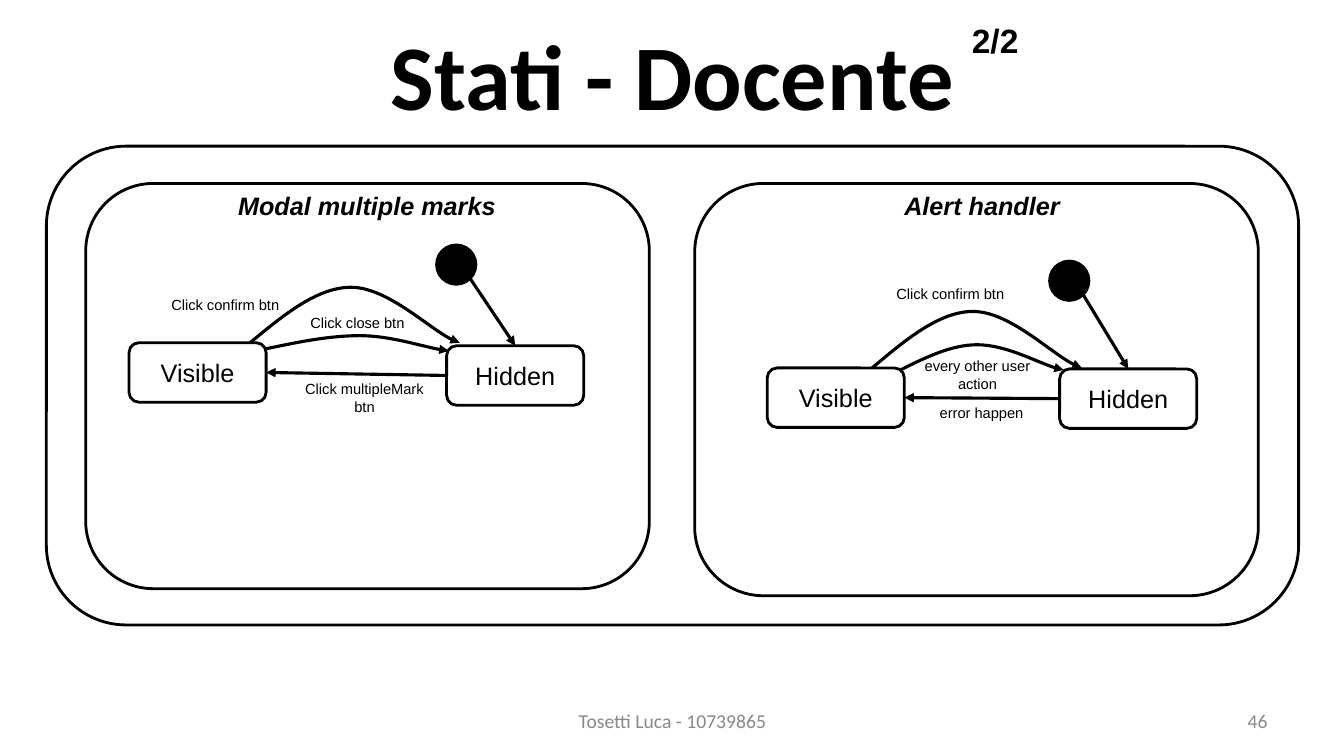
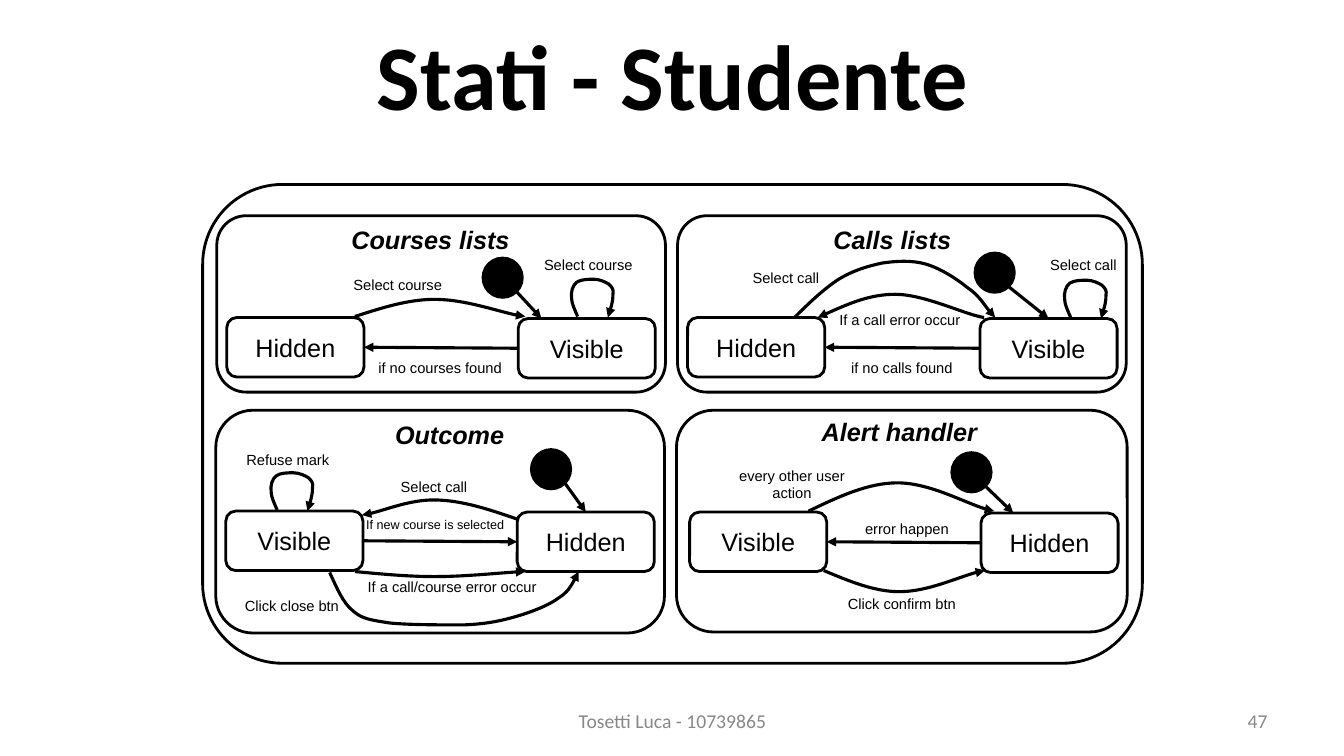
from dataclasses import dataclass, field

import pptx
import pptx.dml.color
import pptx.enum.shapes
import pptx.enum.text
import pptx.oxml.ns
import pptx.util
from lxml import etree

Inches = pptx.util.Inches
Pt = pptx.util.Pt
qn = pptx.oxml.ns.qn
SHAPE = pptx.enum.shapes.MSO_SHAPE
ALIGN = pptx.enum.text.PP_ALIGN
ANCHOR = pptx.enum.text.MSO_ANCHOR
AUTO_SIZE = pptx.enum.text.MSO_AUTO_SIZE
RGB = pptx.dml.color.RGBColor.from_string


@dataclass(frozen=True)
class Theme:
    ink: object = RGB("000000")
    paper: object = RGB("FFFFFF")
    muted: object = RGB("888888")
    title_font: str = "Calibri"
    body_font: str = "Arial"
    title: float = 66
    counter: float = 24
    state: float = 18
    footer: float = 14
    label: float = 10.5
    small_label: float = 9
    outline: float = 2
    arrow: float = 2.25


THEME = Theme()
STATE_W, STATE_H = 1.36, 0.59
DOT = 0.39
TITLE_W = 3.56
LOOP = [(0, 0), (-0.03, -0.07), (-0.06, -0.13), (-0.06, -0.18),
        (-0.07, -0.24), (-0.05, -0.31), (-0.01, -0.34),
        (0.03, -0.37), (0.11, -0.37), (0.16, -0.37),
        (0.22, -0.37), (0.28, -0.34), (0.31, -0.32),
        (0.34, -0.29), (0.36, -0.27), (0.35, -0.22),
        (0.35, -0.16), (0.33, -0.08), (0.3, 0.01)]


@dataclass
class Label:
    text: str
    x: float
    y: float
    w: float = 1.45
    size: float = THEME.label


@dataclass
class Machine:
    """A two-state diagram; every place is relative to the panel's corner."""
    title: str
    box: tuple
    title_at: tuple  # centre, top
    left: tuple  # name, x, y
    right: tuple
    dot: tuple
    labels: list
    curves: list
    back_curves: list = field(default_factory=list)  # arrowhead at the start
    entry: float = STATE_W / 2  # where the first arrow meets the right state
    forward: bool = False  # straight arrow runs left to right


def arc(start, apex, end):
    """Bezier points of a bow through its apex."""
    (x0, y0), (x1, y1), (x2, y2) = start, apex, end
    return [start,
            (x0 + (x1 - x0) / 3, (y0 + y1) / 2), (x0 + (x1 - x0) * 2 / 3, y1), apex,
            (x1 + (x2 - x1) / 3, y1), (x1 + (x2 - x1) * 0.8, y1 + (y2 - y1) * 0.9), end]


def loop(x, y):
    return [(x + dx, y + dy) for dx, dy in LOOP]


def set_font(p, size, name=THEME.body_font, color=THEME.ink, bold=False, italic=False):
    f = p.font
    f.size, f.name, f.bold, f.italic = Pt(size), name, bold, italic
    f.color.rgb = color


def add_text(slide, text, box, size, align=ALIGN.CENTER, anchor=ANCHOR.TOP, **font):
    sp = slide.shapes.add_textbox(*map(Inches, box))
    tf = sp.text_frame
    tf.word_wrap = True
    tf.vertical_anchor = anchor
    p = tf.paragraphs[0]
    p.text, p.alignment = text, align
    set_font(p, size, **font)


def add_outline(slide, kind, box, fill=None):
    sp = slide.shapes.add_shape(kind, *map(Inches, box))
    sp.shadow.inherit = False
    if fill is None:
        sp.fill.background()
    else:
        sp.fill.solid()
        sp.fill.fore_color.rgb = fill
    sp.line.color.rgb = THEME.ink
    sp.line.width = Pt(THEME.outline)
    return sp


def add_state(slide, name, x, y):
    sp = add_outline(slide, SHAPE.ROUNDED_RECTANGLE, (x, y, STATE_W, STATE_H), THEME.paper)
    tf = sp.text_frame
    tf.vertical_anchor = ANCHOR.MIDDLE
    p = tf.paragraphs[0]
    p.text, p.alignment = name, ALIGN.CENTER
    set_font(p, THEME.state)
    return sp


def style_arrow(sp, end="a:tailEnd"):
    sp.line.color.rgb = THEME.ink
    sp.line.width = Pt(THEME.arrow)
    ln = sp.element.spPr.find(qn("a:ln"))
    etree.SubElement(ln, qn(end)).set("type", "triangle")


def add_arrow(slide, start, end):
    sp = slide.shapes.add_connector(pptx.enum.shapes.MSO_CONNECTOR.STRAIGHT,
                                    *map(Inches, start + end))
    style_arrow(sp)
    etree.SubElement(sp.element.spPr, qn("a:effectLst"))
    return sp


def add_curve(slide, points, end="a:tailEnd"):
    """Draw a freeform whose points after the first are Bezier triples."""
    pts = [(Inches(x), Inches(y)) for x, y in points]
    fb = slide.shapes.build_freeform(*pts[0])
    fb.add_line_segments(pts[1:], close=False)
    sp = fb.convert_to_shape()
    sp.shadow.inherit = False
    sp.fill.background()
    segments = list(sp.element.iter(qn("a:lnTo")))
    outline = segments[0].getparent()
    for i in range(0, len(segments), 3):
        cubic = etree.SubElement(outline, qn("a:cubicBezTo"))
        for segment in segments[i:i + 3]:
            cubic.append(segment[0])
            outline.remove(segment)
    style_arrow(sp, end)


def add_machine(slide, m):
    ox, oy = m.box[:2]

    def at(x, y):
        return ox + x, oy + y

    add_outline(slide, SHAPE.ROUNDED_RECTANGLE, m.box)
    cx, top = at(*m.title_at)
    add_text(slide, m.title, (cx - TITLE_W / 2, top, TITLE_W, 0.4), THEME.state,
             bold=True, italic=True)
    left, right = (add_state(slide, name, *at(x, y)) for name, x, y in (m.left, m.right))

    add_outline(slide, SHAPE.FLOWCHART_CONNECTOR, at(*m.dot) + (DOT, DOT), THEME.ink)
    rim = DOT * 0.854
    entry = at(m.right[1] + m.entry, m.right[2])
    first = add_arrow(slide, at(m.dot[0] + rim, m.dot[1] + rim), entry)
    if m.entry == STATE_W / 2:
        first.end_connect(right, 0)

    ends = [(right, 1), (left, 3)]
    if m.forward:
        ends.reverse()
    straight = add_arrow(slide, (ox, oy), (ox, oy))
    straight.begin_connect(*ends[0])
    straight.end_connect(*ends[1])

    for curves, end in ((m.curves, "a:tailEnd"), (m.back_curves, "a:headEnd")):
        for points in curves:
            add_curve(slide, [at(x, y) for x, y in points], end)
    for b in m.labels:
        add_text(slide, b.text, at(b.x, b.y) + (b.w, 0.28), b.size)


def add_state_slide(prs, title, number, frame, machines):
    slide = prs.slides.add_slide(prs.slide_layouts[5])
    sp = slide.shapes.title
    sp.left, sp.top, sp.width, sp.height = map(Inches, (0.46, 0, 12.42, 1.45))
    tf = sp.text_frame
    tf.auto_size = AUTO_SIZE.NONE
    tf.vertical_anchor = ANCHOR.MIDDLE
    p = tf.paragraphs[0]
    p.text, p.alignment = title, ALIGN.CENTER
    set_font(p, THEME.title, THEME.title_font, bold=True)
    footer = dict(size=THEME.footer, anchor=ANCHOR.MIDDLE, name=THEME.title_font,
                  color=THEME.muted)
    add_text(slide, "Tosetti Luca - 10739865", (4.56, 6.95, 4.22, 0.4), **footer)
    add_text(slide, str(number), (9.56, 6.95, 3.11, 0.4), align=ALIGN.RIGHT, **footer)
    add_outline(slide, SHAPE.ROUNDED_RECTANGLE, frame)
    for m in machines:
        add_machine(slide, m)
    return slide


TEACHER = [
    Machine("Modal multiple marks", (0.85, 1.82, 5.59, 4.02), (2.79, 0.02),
            ("Visible", 0.43, 1.58), ("Hidden", 3.58, 1.61), (3.48, 0.61),
            [Label("Click multipleMark btn", 2.04, 1.9),
             Label("Click close btn", 1.97, 1.24),
             Label("Click confirm btn", 0.66, 1.07)],
            [arc((1.79, 1.64), (2.72, 1.51), (3.6, 1.66)),
             arc((1.63, 1.58), (2.63, 1.03), (3.71, 1.58))]),
    Machine("Alert handler", (6.89, 1.82, 5.59, 4.09), (2.85, 0.02),
            ("Visible", 0.72, 1.83), ("Hidden", 3.62, 1.84), (3.52, 0.77),
            [Label("every other user action", 2.08, 1.67),
             Label("error happen", 2.12, 2.14),
             Label("Click confirm btn", 1.81, 0.96)],
            [arc((2.04, 1.85), (2.8, 1.6), (3.66, 1.85)),
             arc((1.76, 1.83), (2.76, 1.27), (3.84, 1.83))]),
]

STUDENT = [
    Machine("Courses lists", (2.15, 2.14, 4.45, 1.75), (2.12, 0.04),
            ("Hidden", 0.1, 1.01), ("Visible", 2.99, 1.02), (2.64, 0.42),
            [Label("if no courses found", 1.49, 1.37),
             Label("Select course", 1.07, 0.55),
             Label("Select course", 2.96, 0.35)],
            [arc((1.37, 1), (2.16, 0.83), (3.06, 1)), loop(3.58, 1)],
            entry=0.23),
    Machine("Calls lists", (6.72, 2.14, 4.45, 1.75), (2.13, 0.04),
            ("Hidden", 0.1, 1.01), ("Visible", 3, 1.02), (2.95, 0.37),
            [Label("if no calls found", 1.5, 1.37),
             Label("If a call error occur", 1.48, 0.89),
             Label("Select call", 0.35, 0.48),
             Label("Select call", 3.3, 0.35)],
            [loop(3.9, 1.01),
             [(1.16, 1.01), (1.31, 0.86), (1.46, 0.72), (1.6, 0.63),
              (1.75, 0.54), (1.89, 0.5), (2.03, 0.47),
              (2.17, 0.45), (2.32, 0.44), (2.46, 0.48),
              (2.6, 0.52), (2.76, 0.62), (2.87, 0.71),
              (2.99, 0.79), (3.09, 0.96), (3.15, 1.01)]],
            back_curves=[arc((1.39, 1.01), (2.16, 0.78), (3.04, 1.01))]),
    Machine("Outcome", (2.14, 4.07, 4.45, 2.21), (2.32, 0.04),
            ("Visible", 0.1, 1), ("Hidden", 2.99, 1.01), (3.13, 0.39),
            [Label("If new course is selected", 1.39, 1.01, 1.57, THEME.small_label),
             Label("Select call", 1.44, 0.62),
             Label("If a call/course error occur", 1.39, 1.61, 1.91),
             Label("Refuse mark", -0.01, 0.35),
             Label("Click close btn", 0.03, 1.8)],
            [arc((2.99, 1.08), (2.16, 0.89), (1.45, 1.04)),
             arc((1.38, 1.6), (2.17, 1.65), (3.07, 1.6)),
             loop(0.61, 0.99),
             [(1.13, 1.61), (1.2, 1.76), (1.26, 1.91), (1.36, 1.99),
              (1.45, 2.07), (1.53, 2.08), (1.72, 2.11),
              (1.9, 2.13), (2.26, 2.13), (2.46, 2.13),
              (2.67, 2.12), (2.78, 2.1), (2.93, 2.06),
              (3.08, 2.02), (3.28, 1.95), (3.39, 1.87),
              (3.5, 1.8), (3.55, 1.7), (3.6, 1.6)]],
            forward=True),
    Machine("Alert handler", (6.71, 4.07, 4.47, 2.2), (2.21, 0.01),
            ("Visible", 0.13, 1.01), ("Hidden", 3.02, 1.02), (2.73, 0.42),
            [Label("every other user action", 0.5, 0.51, 1.29),
             Label("error happen", 1.64, 1.04, 1.29),
             Label("Click confirm btn", 1.59, 1.78, 1.29)],
            [arc((1.46, 1.59), (2.21, 1.8), (3.06, 1.59)),
             arc((1.31, 1), (2.19, 0.72), (3.15, 1))],
            entry=0.32),
]


def main():
    prs = pptx.Presentation()
    prs.slide_width, prs.slide_height = Inches(13.33), Inches(7.5)
    slide = add_state_slide(prs, "Stati - Docente", 46, (0.46, 1.45, 12.42, 4.75), TEACHER)
    add_text(slide, "2/2", (9.54, 0.15, 0.78, 0.5), THEME.counter, ALIGN.LEFT, bold=True)
    add_state_slide(prs, "Stati - Studente", 47, (2.01, 1.83, 9.32, 4.75), STUDENT)
    prs.save("out.pptx")


if __name__ == "__main__":
    main()
